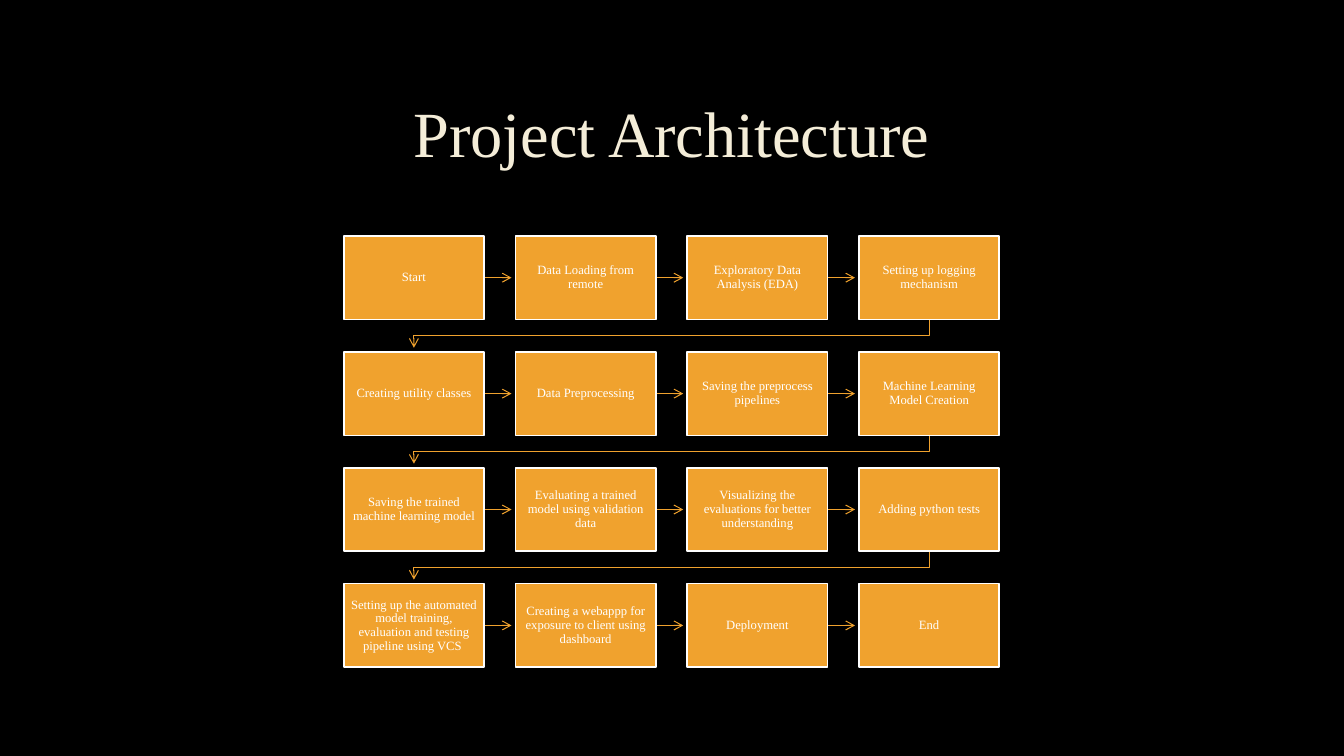
from dataclasses import dataclass

from lxml import etree
from pptx import Presentation
from pptx.dml.color import RGBColor
from pptx.enum.shapes import MSO_CONNECTOR, MSO_SHAPE
from pptx.enum.text import MSO_ANCHOR as Anchor, PP_ALIGN as Align
from pptx.oxml.ns import qn
from pptx.util import Inches, Pt


@dataclass(frozen=True)
class Theme:
    background: RGBColor = RGBColor.from_string("000000")
    title: RGBColor = RGBColor.from_string("F4EDD8")
    accent: RGBColor = RGBColor.from_string("F0A22E")
    light: RGBColor = RGBColor.from_string("FFFFFF")
    font: str = "Times New Roman"
    title_size: float = 46
    step_size: float = 9
    border_width: float = 1.25
    arrow_width: float = 0.75


THEME = Theme()

STEPS = [
    ["Start", "Data Loading from remote",
     "Exploratory Data Analysis (EDA)", "Setting up logging mechanism"],
    ["Creating utility classes", "Data Preprocessing",
     "Saving the preprocess pipelines", "Machine Learning Model Creation"],
    ["Saving the trained machine learning model",
     "Evaluating a trained model using validation data",
     "Visualizing the evaluations for better understanding",
     "Adding python tests"],
    ["Setting up the automated model training, evaluation and testing "
     "pipeline using VCS ",
     "Creating a webappp for exposure to client using dashboard",
     "Deployment", "End"],
]

# Step box size and the space an arrow leaves before its target, in inches
STEP_WIDTH, STEP_HEIGHT = 1.39, 0.83
ARROW_CLEARANCE = 0.04


def write_text(shape, text, size, color, margin):
    """Fill a shape with one centred paragraph."""
    frame = shape.text_frame
    frame_format = {
        "word_wrap": True,
        "vertical_anchor": Anchor.MIDDLE,
        "margin_left": Inches(margin),
        "margin_right": Inches(margin),
        "margin_top": Inches(margin),
        "margin_bottom": Inches(margin),
    }
    for name, value in frame_format.items():
        setattr(frame, name, value)
    paragraph = frame.paragraphs[0]
    paragraph.alignment = Align.CENTER
    paragraph.line_spacing = 0.9
    run = paragraph.add_run()
    run.text = text
    run.font.color.rgb = color
    for name, value in {"name": THEME.font, "size": Pt(size)}.items():
        setattr(run.font, name, value)


def style_arrow(shape):
    """Give a line its colour, width and open arrowhead, without a shadow."""
    shape.line.color.rgb = THEME.accent
    shape.line.width = Pt(THEME.arrow_width)
    properties = shape.element.spPr
    line = properties.find(qn("a:ln"))
    etree.SubElement(line, qn("a:tailEnd"), type="arrow")
    if properties.find(qn("a:effectLst")) is None:
        etree.SubElement(properties, qn("a:effectLst"))


def add_step(slide, left, top, text):
    shape = slide.shapes.add_shape(
        MSO_SHAPE.RECTANGLE, Inches(left), Inches(top),
        Inches(STEP_WIDTH), Inches(STEP_HEIGHT))
    shape.shadow.inherit = False
    shape.fill.solid()
    shape.fill.fore_color.rgb = THEME.accent
    shape.line.color.rgb = THEME.light
    shape.line.width = Pt(THEME.border_width)
    write_text(shape, text, THEME.step_size, THEME.light, 0.07)


def add_next_arrow(slide, start, end, middle):
    """Straight arrow to the next step in a row."""
    arrow = slide.shapes.add_connector(
        MSO_CONNECTOR.STRAIGHT, Inches(start), Inches(middle),
        Inches(end), Inches(middle))
    style_arrow(arrow)


def add_return_arrow(slide, start, end, top, gap):
    """Bent arrow from the end of one row to the start of the next."""
    turn = top + gap / 2
    builder = slide.shapes.build_freeform(Inches(start), Inches(top))
    corners = [(start, turn), (end, turn), (end, top + gap - ARROW_CLEARANCE)]
    builder.add_line_segments(
        [(Inches(x), Inches(y)) for x, y in corners], close=False)
    arrow = builder.convert_to_shape()
    arrow.shadow.inherit = False
    arrow.fill.background()
    style_arrow(arrow)


def add_title(slide, left, top, width, height):
    box = slide.shapes.add_textbox(
        Inches(left), Inches(top), Inches(width), Inches(height))
    write_text(box, "Project Architecture", THEME.title_size, THEME.title, 0.1)


def add_flow(slide, left, top, width, height):
    """Steps in reading order on an even grid, joined by arrows."""
    columns, rows = len(STEPS[0]), len(STEPS)
    column_pitch = (width - STEP_WIDTH) / (columns - 1)
    row_pitch = (height - STEP_HEIGHT) / (rows - 1)
    first_center = left + STEP_WIDTH / 2
    last_center = left + width - STEP_WIDTH / 2

    for row, labels in enumerate(STEPS):
        y = top + row * row_pitch
        for column, label in enumerate(labels):
            x = left + column * column_pitch
            if column < columns - 1:
                add_next_arrow(slide, x + STEP_WIDTH,
                               x + column_pitch - ARROW_CLEARANCE,
                               y + STEP_HEIGHT / 2)
            elif row < rows - 1:
                add_return_arrow(slide, last_center, first_center,
                                 y + STEP_HEIGHT, row_pitch - STEP_HEIGHT)
            add_step(slide, x, y, label)


def main():
    presentation = Presentation()
    presentation.slide_width = Inches(13.33)
    presentation.slide_height = Inches(7.5)
    slide = presentation.slides.add_slide(presentation.slide_layouts[6])
    slide.background.fill.solid()
    slide.background.fill.fore_color.rgb = THEME.background

    add_title(slide, 1, 0.67, 11.32, 1.38)
    add_flow(slide, 3.41, 2.34, 6.5, 4.28)
    presentation.save("out.pptx")


if __name__ == "__main__":
    main()
